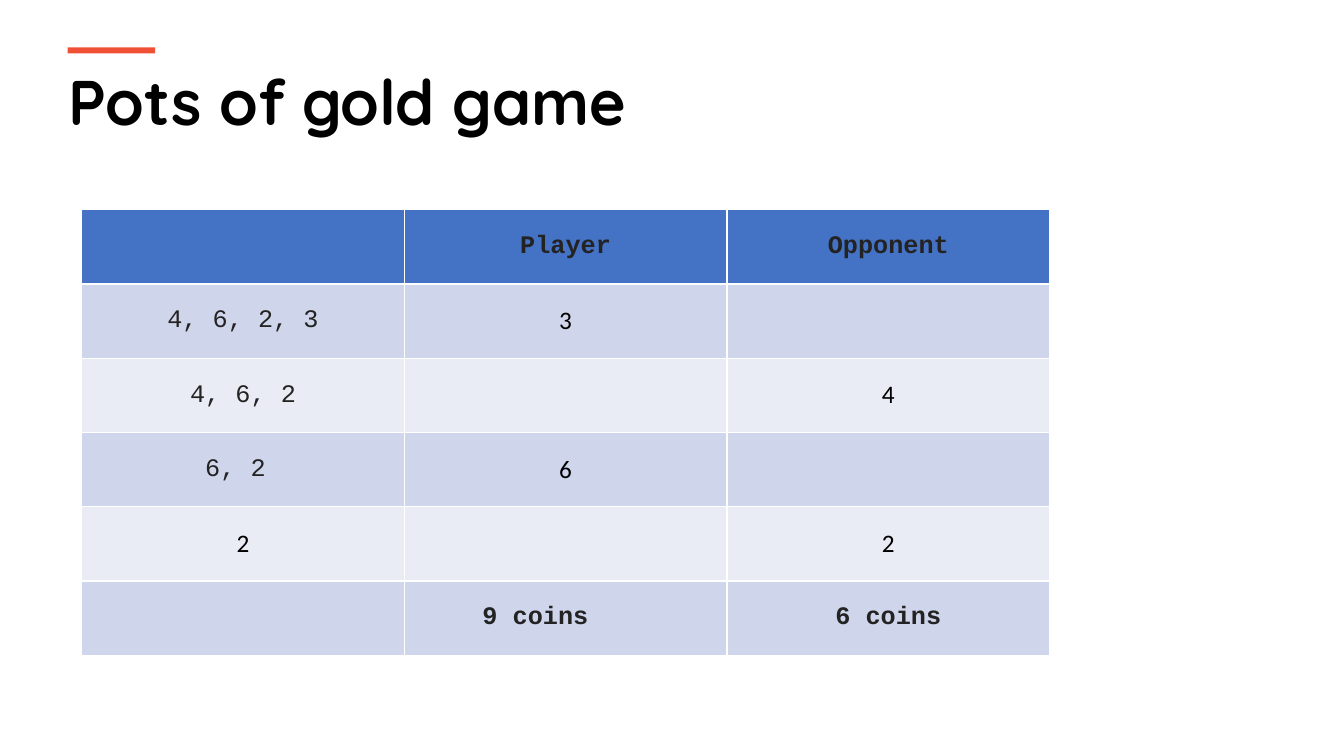
from pptx import Presentation
from pptx.dml.color import RGBColor
from pptx.enum.shapes import MSO_SHAPE
from pptx.enum.text import MSO_ANCHOR, PP_ALIGN
from pptx.util import Inches, Pt

RECT = MSO_SHAPE.RECTANGLE
MIDDLE = MSO_ANCHOR.MIDDLE
CENTER = PP_ALIGN.CENTER

BLACK = RGBColor(0x00, 0x00, 0x00)
INK = RGBColor(0x24, 0x23, 0x23)
ORANGE = RGBColor(0xF0, 0x51, 0x36)
BLUE = RGBColor(0x44, 0x72, 0xC4)
BANDS = [RGBColor(0xE9, 0xEB, 0xF5), RGBColor(0xCF, 0xD5, 0xEA)]

ROWS = [
    ["", "Player", "Opponent"],
    ["4, 6, 2, 3", "3", ""],
    ["4, 6, 2", "", "4"],
    ["6, 2", "6", ""],
    ["2", "", "2"],
    ["", "9 coins", "6 coins"],
]
# Wider right margins move these entries left of the column centre
INSETS = {"6, 2": 0.25, "9 coins": 0.7}


def style(para, name, size, color, bold):
    para.font.name = name
    para.font.size = Pt(size)
    para.font.color.rgb = color
    para.font.bold = bold


deck = Presentation()
deck.slide_width = Inches(13.33)
deck.slide_height = Inches(7.5)
slide = deck.slides.add_slide(deck.slide_layouts[6])

# Title with accent bar
title = slide.shapes.add_textbox(Inches(0.58), Inches(0.57), Inches(12.18), Inches(0.86))
title.text_frame.word_wrap = True
title.text_frame.text = "Pots of gold game"
style(title.text_frame.paragraphs[0], "Quicksand", 45, BLACK, True)

bar = slide.shapes.add_shape(RECT, Inches(0.67), Inches(0.47), Inches(0.87), Inches(0.06))
bar.shadow.inherit = False
bar.fill.solid()
bar.fill.fore_color.rgb = ORANGE
bar.line.fill.background()

# Moves table: white rules come from the default table style
frame = slide.shapes.add_table(len(ROWS), 3, Inches(0.81), Inches(2.08), Inches(9.6), Inches(4.42))
table = frame.table
for r, row in enumerate(ROWS):
    for c, text in enumerate(row):
        cell = table.cell(r, c)
        cell.fill.solid()
        cell.fill.fore_color.rgb = BANDS[r % 2] if r else BLUE
        if not text:
            continue
        cell.text = text
        cell.vertical_anchor = MIDDLE
        cell.margin_right = Inches(INSETS.get(text, 0.1))
        para = cell.text_frame.paragraphs[0]
        para.alignment = CENTER
        if text.isdigit():
            style(para, "Calibri", 18, BLACK, False)
        else:
            style(para, "Courier New", 18, INK, r in (0, len(ROWS) - 1))

deck.save("out.pptx")
